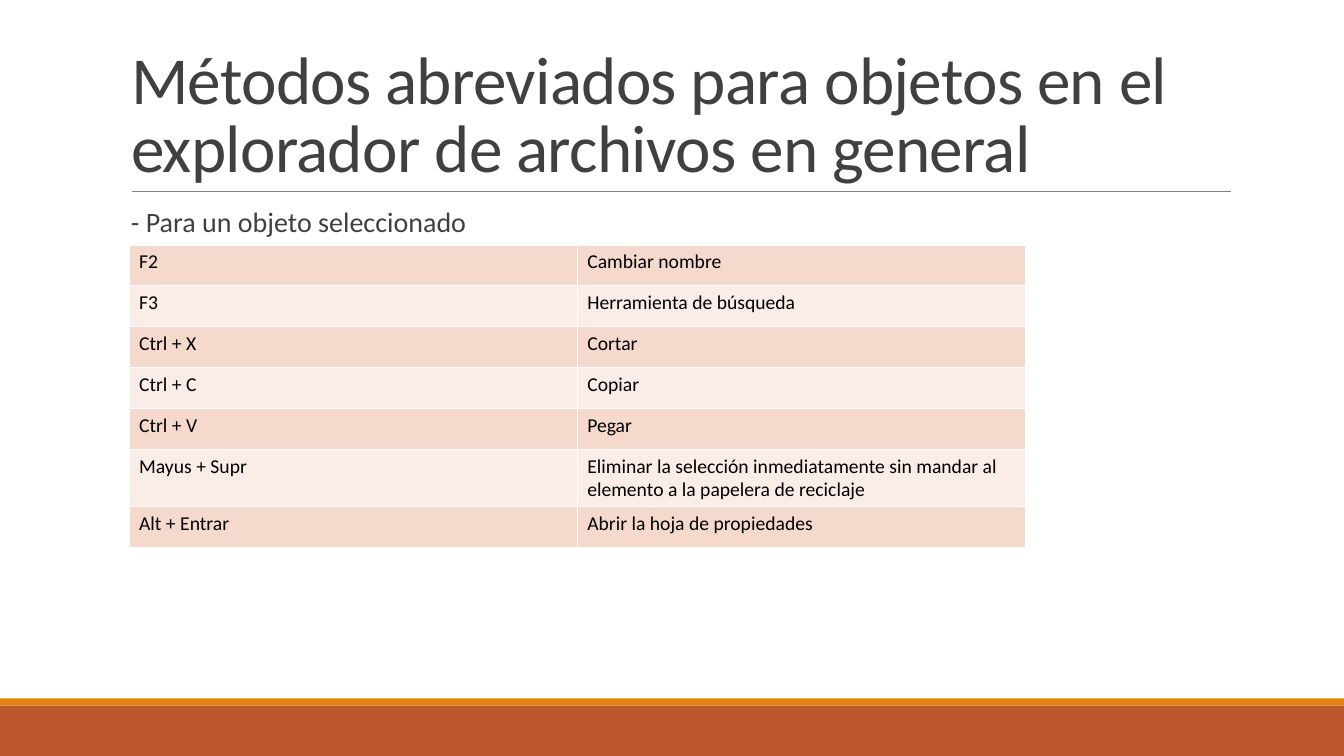
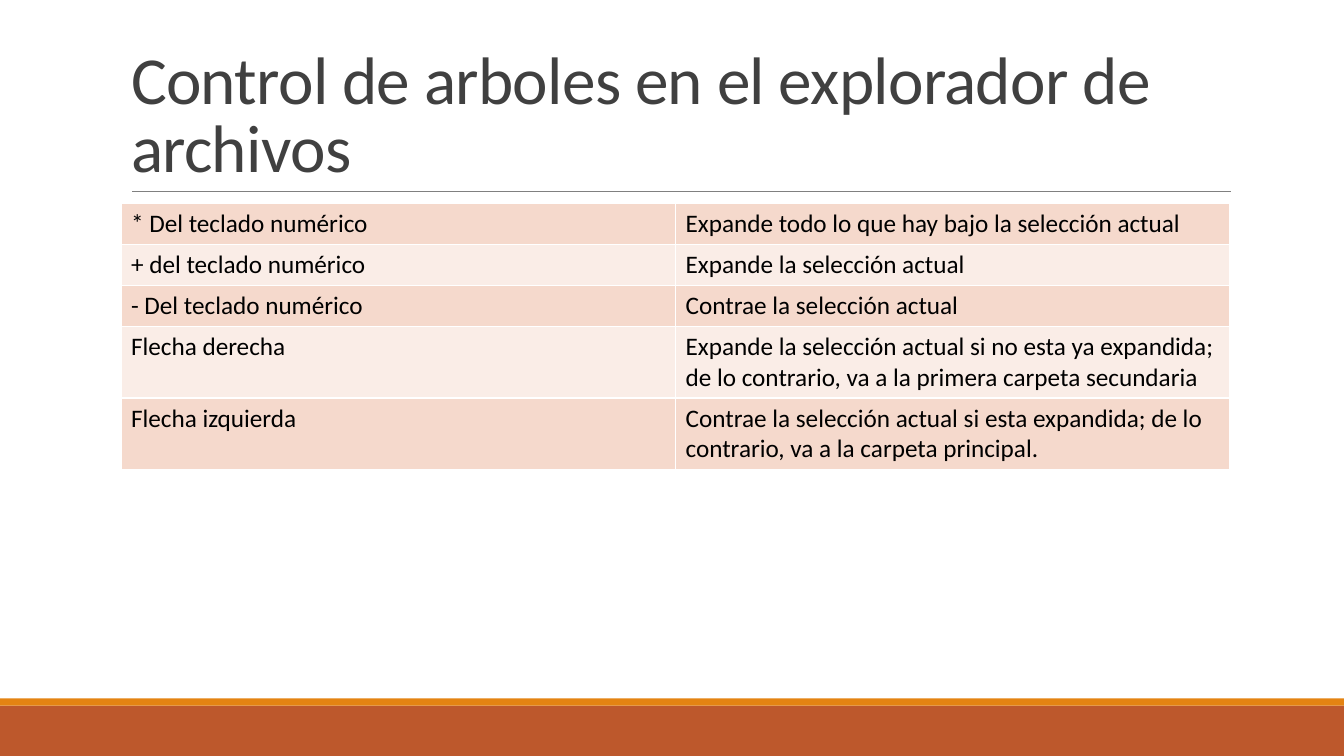
from dataclasses import dataclass

from lxml.etree import SubElement
from pptx import Presentation
from pptx.dml.color import RGBColor as Rgb
from pptx.enum.shapes import MSO_CONNECTOR as Connector, MSO_SHAPE as Preset
from pptx.enum.text import MSO_ANCHOR as Anchor, MSO_AUTO_SIZE as AutoSize, PP_ALIGN as Align
from pptx.oxml.ns import qn
from pptx.util import Inches, Pt


@dataclass(frozen=True)
class Theme:
    font: str = "Calibri"
    white: Rgb = Rgb(0xFF, 0xFF, 0xFF)
    black: Rgb = Rgb(0x00, 0x00, 0x00)
    text: Rgb = Rgb(0x40, 0x40, 0x40)
    rule: Rgb = Rgb(0x80, 0x80, 0x80)
    band: Rgb = Rgb(0xBD, 0x58, 0x2C)
    stripe: Rgb = Rgb(0xE4, 0x83, 0x12)
    rows: tuple = (Rgb(0xF5, 0xD9, 0xCC), Rgb(0xFA, 0xED, 0xE7))
    title_size: int = 48
    body_size: int = 20
    large_cell_size: int = 18
    small_cell_size: int = 14


@dataclass(frozen=True)
class Box:
    left: float
    top: float
    width: float
    height: float

    def lengths(self):
        return [Inches(value) for value in (self.left, self.top, self.width, self.height)]


THEME = Theme()
PAGE = Box(0, 0, 13.33, 7.5)
TITLE = Box(1.2, 0.31, 11, 1.59)
CONTENT = Box(1.2, 2.02, 11, 4.4)
TITLE_ONLY = 5

OBJECT_KEYS = [
    ("F2", "Cambiar nombre"),
    ("F3", "Herramienta de búsqueda"),
    ("Ctrl + X", "Cortar"),
    ("Ctrl + C", "Copiar"),
    ("Ctrl + V", "Pegar"),
    ("Mayus + Supr", "Eliminar la selección inmediatamente sin mandar al elemento "
                     "a la papelera de reciclaje"),
    ("Alt + Entrar", "Abrir la hoja de propiedades"),
]
TREE_KEYS = [
    ("* Del teclado numérico", "Expande todo lo que hay bajo la selección actual"),
    ("+ del teclado numérico", "Expande la selección actual"),
    ("- Del teclado numérico", "Contrae la selección actual"),
    ("Flecha derecha", "Expande la selección actual si no esta ya expandida; "
                       "de lo contrario, va a la primera carpeta secundaria"),
    ("Flecha izquierda", "Contrae la selección actual si esta expandida; "
                         "de lo contrario, va a la carpeta principal."),
]


def add_run(paragraph, text, size, color):
    run = paragraph.add_run()
    run.text = text
    run.font.name = THEME.font
    run.font.size = Pt(size)
    run.font.color.rgb = color
    return run


def add_band(slide, box, color):
    band = slide.shapes.add_shape(Preset.RECTANGLE, *box.lengths())
    band.shadow.inherit = False
    band.fill.solid()
    band.fill.fore_color.rgb = color
    band.line.fill.background()
    return band


def add_rule(slide, box):
    left, bottom = Inches(box.left + 0.11), Inches(box.top + box.height)
    right = Inches(box.left + box.width + 0.01)
    rule = slide.shapes.add_connector(Connector.STRAIGHT, left, bottom, right, bottom)
    rule.line.color.rgb = THEME.rule
    rule.line.width = Pt(0.5)
    SubElement(rule.element.spPr, qn("a:effectLst"))
    return rule


def build_layout(layout, slide):
    for placeholder in list(layout.placeholders):
        if placeholder.placeholder_format.idx:
            layout.shapes.element.remove(placeholder.element)
    band = Box(PAGE.left, PAGE.height - 0.5, PAGE.width, 0.5)
    stripe = Box(PAGE.left, band.top - 0.07, PAGE.width, 0.07)
    for shape in (add_band(slide, band, THEME.band),
                  add_band(slide, stripe, THEME.stripe),
                  add_rule(slide, TITLE)):
        layout.shapes.element.append(shape.element)


def set_title(slide, box, text):
    title = slide.shapes.title
    title.left, title.top, title.width, title.height = box.lengths()
    frame = title.text_frame
    frame.word_wrap = True
    frame.auto_size = AutoSize.NONE
    frame.vertical_anchor = Anchor.BOTTOM
    paragraph = frame.paragraphs[0]
    paragraph.alignment = Align.LEFT
    paragraph.line_spacing = 0.85
    run = add_run(paragraph, text, THEME.title_size, THEME.text)
    run.font._element.set("spc", "-50")


def add_lead(slide, box, text):
    frame = slide.shapes.add_textbox(*box.lengths()).text_frame
    frame.word_wrap = True
    frame.margin_left, frame.margin_right = Inches(0.1), 0
    paragraph = frame.paragraphs[0]
    paragraph.line_spacing = 0.9
    paragraph.space_before, paragraph.space_after = Pt(12), Pt(2)
    add_run(paragraph, text, THEME.body_size, THEME.text)


def add_borders(cell):
    properties = cell._tc.get_or_add_tcPr()
    for side in ("a:lnL", "a:lnR", "a:lnT", "a:lnB"):
        line = SubElement(properties, qn(side), w=str(Pt(1)))
        fill = SubElement(line, qn("a:solidFill"))
        SubElement(fill, qn("a:srgbClr"), val=str(THEME.white))


def add_key_table(slide, box, keys, size):
    table = slide.shapes.add_table(len(keys), 2, *box.lengths()).table
    table.first_row = table.horz_banding = False
    for row, texts in enumerate(keys):
        for column, text in enumerate(texts):
            cell = table.cell(row, column)
            add_borders(cell)
            cell.fill.solid()
            cell.fill.fore_color.rgb = THEME.rows[row % 2]
            add_run(cell.text_frame.paragraphs[0], text, size, THEME.black)


def build_object_slide(slide, box):
    set_title(slide, TITLE, "Métodos abreviados para objetos en el explorador de archivos en general")
    add_lead(slide, box, "- Para un objeto seleccionado")
    table_box = Box(box.left + 0.08, box.top + 0.41, 8.89, 2.84)
    add_key_table(slide, table_box, OBJECT_KEYS, THEME.small_cell_size)


def build_tree_slide(slide, box):
    set_title(slide, TITLE, "Control de arboles en el explorador de archivos")
    table_box = Box(box.left, box.top, box.width, 2.03)
    add_key_table(slide, table_box, TREE_KEYS, THEME.large_cell_size)


def main():
    presentation = Presentation()
    presentation.slide_width, presentation.slide_height = PAGE.lengths()[2:]
    layout = presentation.slide_layouts[TITLE_ONLY]
    builders = (build_object_slide, build_tree_slide)
    slides = [presentation.slides.add_slide(layout) for _ in builders]
    build_layout(layout, slides[0])
    for slide, build in zip(slides, builders):
        build(slide, CONTENT)
    presentation.save("out.pptx")


if __name__ == "__main__":
    main()
